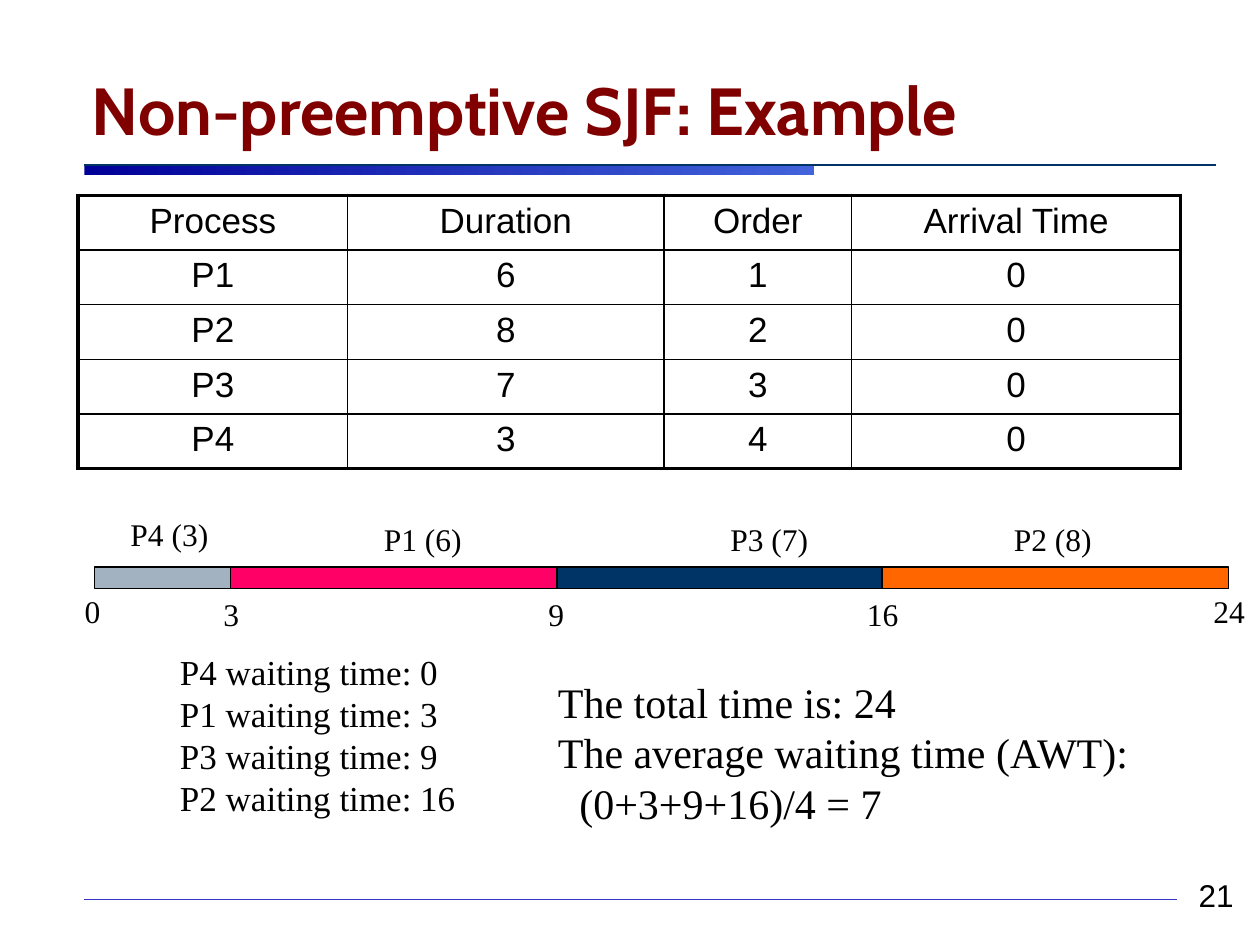
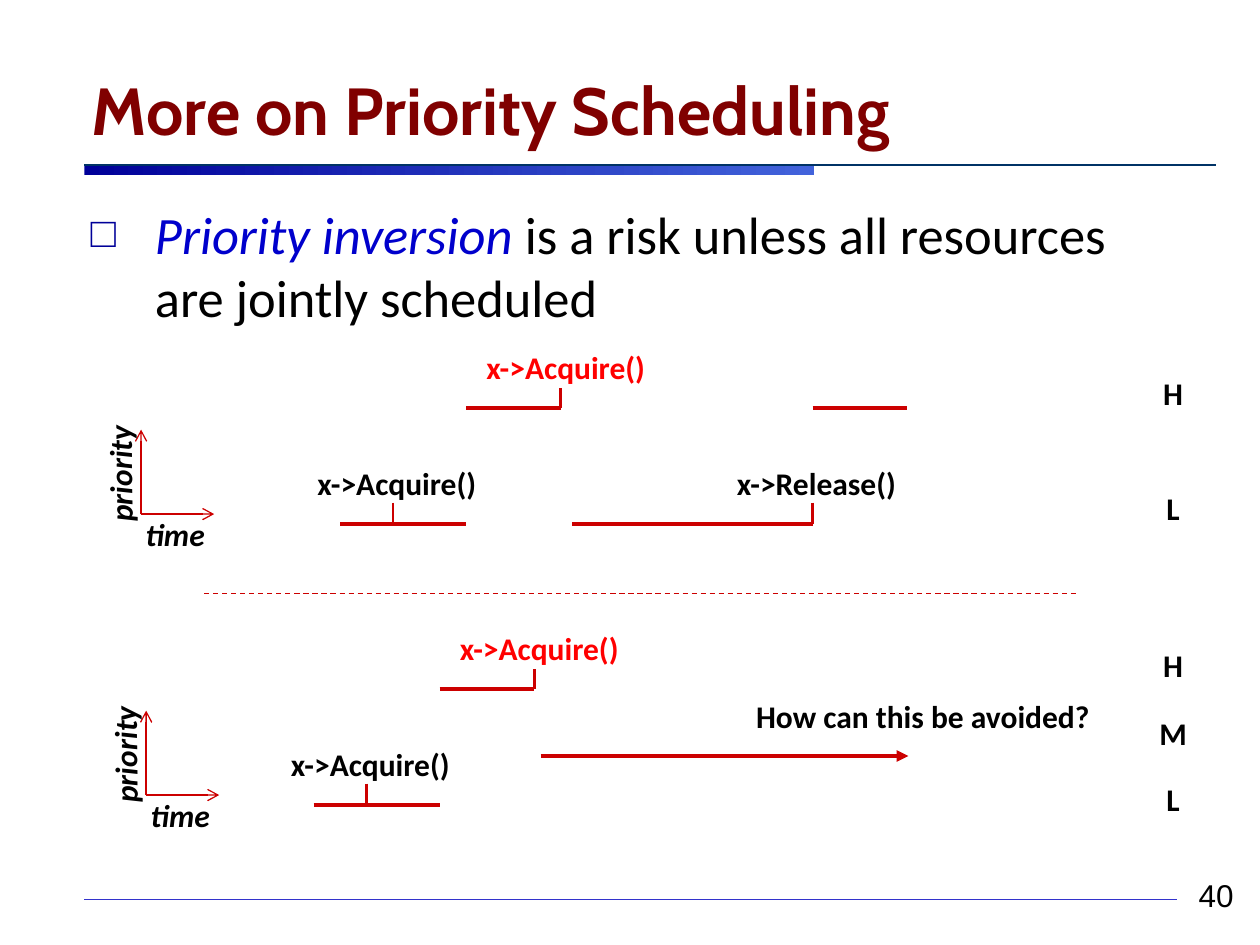
"""Build two lecture slides on non-preemptive SJF and priority inversion."""
from lxml.etree import SubElement
from pptx import Presentation
from pptx.dml.color import RGBColor
from pptx.enum.dml import MSO_LINE
from pptx.enum.shapes import MSO_CONNECTOR, MSO_SHAPE
from pptx.enum.text import MSO_ANCHOR, MSO_AUTO_SIZE, PP_ALIGN
from pptx.oxml.ns import qn
from pptx.util import Pt

PX = 9144
COLORS = {
    "black": "000000", "title": "800000", "rule": "003366", "footer": "3333CC",
    "band_start": "000099", "band_end": "4263DB", "term": "0000CC",
    "timeline": "CC0000", "blocked": "FF0000",
    "P4": "A3B2C1", "P1": "FF0066", "P3": "003366", "P2": "FF6600",
}
RGB = {name: RGBColor.from_string(value) for name, value in COLORS.items()}
SERIF = "Times New Roman"


def add_text(slide, lines, left, top, width, height=40, size=18, font="Calibri",
             color="black", bold=False, italic=False, align=PP_ALIGN.CENTER,
             anchor=MSO_ANCHOR.MIDDLE):
    box = slide.shapes.add_textbox(left * PX, top * PX, width * PX, height * PX)
    frame = box.text_frame
    frame.text = lines
    frame.word_wrap = False
    frame.vertical_anchor = anchor
    for paragraph in frame.paragraphs:
        paragraph.alignment = align
        paragraph.font.size = Pt(size)
        for run in paragraph.runs:
            run.font.name = font
            run.font.size = Pt(size)
            run.font.bold = bold
            run.font.italic = italic
            run.font.color.rgb = RGB[color]
    return box


def add_line(slide, start_x, start_y, end_x, end_y, width=2.25, color="timeline",
             arrow=None, dashed=False):
    connector = slide.shapes.add_connector(
        MSO_CONNECTOR.STRAIGHT, start_x * PX, start_y * PX, end_x * PX, end_y * PX)
    connector.line.width = Pt(width)
    connector.line.color.rgb = RGB[color]
    if dashed:
        connector.line.dash_style = MSO_LINE.DASH
    properties = connector._element.spPr
    if arrow:
        SubElement(properties.find(qn("a:ln")), qn("a:tailEnd"), type=arrow)
    SubElement(properties, qn("a:effectLst"))


presentation = Presentation()
presentation.slide_width = 1000 * PX
presentation.slide_height = 750 * PX

slides = []
for title_text, number, layout_index in (
        ("Non-preemptive SJF: Example", "21", 5),
        ("More on Priority Scheduling", "40", 1)):
    slide = presentation.slides.add_slide(presentation.slide_layouts[layout_index])
    slides.append(slide)
    band = slide.shapes.add_shape(MSO_SHAPE.RECTANGLE, 67 * PX, 131 * PX, 579 * PX, 8 * PX)
    band.shadow.inherit = False
    band.line.fill.background()
    band.fill.gradient()
    band.fill.gradient_angle = 0
    for stop, color in zip(band.fill.gradient_stops, ("band_start", "band_end")):
        stop.color.rgb = RGB[color]
    add_line(slide, 67, 131, 965, 131, 0.75, "rule")
    add_line(slide, 67, 714, 934, 714, 0.25, "footer")
    add_text(slide, number, 839, 690, 150, font="Arial",
             align=PP_ALIGN.RIGHT, anchor=MSO_ANCHOR.BOTTOM)

    title = slide.shapes.title
    title.left, title.top, title.width, title.height = 63 * PX, 33 * PX, 823 * PX, 90 * PX
    title.text_frame.text = title_text
    title.text_frame.auto_size = MSO_AUTO_SIZE.NONE
    title.text_frame.vertical_anchor = MSO_ANCHOR.BOTTOM
    paragraph = title.text_frame.paragraphs[0]
    paragraph.alignment = PP_ALIGN.LEFT
    font = paragraph.runs[0].font
    font.name, font.size, font.bold = "Cabin", Pt(38), True
    font.color.rgb = RGB["title"]

sjf_slide, priority_slide = slides

process_rows = (
    ("Process", "Duration", "Order", "Arrival Time"),
    ("P1", "6", "1", "0"),
    ("P2", "8", "2", "0"),
    ("P3", "7", "3", "0"),
    ("P4", "3", "4", "0"),
)
column_widths = (214, 251, 149, 261)
last_row, last_column = len(process_rows) - 1, len(column_widths) - 1
table = sjf_slide.shapes.add_table(
    len(process_rows), len(column_widths), 62 * PX, 155 * PX, 875 * PX, 210 * PX).table
table.first_row = False
table.horz_banding = False
for column, width in zip(table.columns, column_widths):
    column.width = width * PX
for row_index, values in enumerate(process_rows):
    table.rows[row_index].height = 42 * PX
    for column_index, value in enumerate(values):
        cell = table.cell(row_index, column_index)
        cell.text = value
        paragraph = cell.text_frame.paragraphs[0]
        paragraph.alignment = PP_ALIGN.CENTER
        font = paragraph.runs[0].font
        font.name, font.size = "Arial", Pt(20)
        font.color.rgb = RGB["black"]
        cell_properties = cell._tc.get_or_add_tcPr()
        for edge, is_outer in (
                ("lnL", column_index == 0), ("lnR", column_index == last_column),
                ("lnT", row_index == 0), ("lnB", row_index == last_row)):
            border = SubElement(cell_properties, qn(f"a:{edge}"),
                                w=str(Pt(2.25 if is_outer else 1)))
            fill = SubElement(border, qn("a:solidFill"))
            SubElement(fill, qn("a:srgbClr"), val=COLORS["black"])
        cell.fill.background()

for process, duration, start, end, label_center, label_top in (
        ("P4", 3, 75, 183, 134, 404),
        ("P1", 6, 183, 442, 335, 408),
        ("P3", 7, 442, 700, 610, 408),
        ("P2", 8, 700, 975, 835, 408)):
    bar = sjf_slide.shapes.add_shape(
        MSO_SHAPE.RECTANGLE, start * PX, 450 * PX, (end - start) * PX, 17 * PX)
    bar.shadow.inherit = False
    bar.fill.solid()
    bar.fill.fore_color.rgb = RGB[process]
    bar.line.color.rgb = RGB["black"]
    bar.line.width = Pt(0.75)
    add_text(sjf_slide, f"{process} ({duration})", label_center - 41, label_top, 83, font=SERIF)

for time, center, top in (("0", 73, 465), ("3", 183, 467), ("9", 441, 467),
                          ("16", 700, 467), ("24", 975, 465)):
    add_text(sjf_slide, time, center - 22, top, 45, font=SERIF)

waiting_times = (("P4", 0), ("P1", 3), ("P3", 9), ("P2", 16))
add_text(sjf_slide, "\n".join(f"{process} waiting time: {wait}" for process, wait in waiting_times),
         133, 511, 241, 195, size=20, font=SERIF, align=PP_ALIGN.LEFT, anchor=MSO_ANCHOR.TOP)
summary = add_text(
    sjf_slide,
    "The total time is: 24\nThe average waiting time (AWT):\n(0+3+9+16)/4 = 7",
    433, 532, 517, 130, size=24, font=SERIF, align=PP_ALIGN.LEFT, anchor=MSO_ANCHOR.TOP)
summary.text_frame.paragraphs[-1]._p.get_or_add_pPr().set("marL", str(17 * PX))

body = priority_slide.placeholders[1]
body.left, body.top, body.width, body.height = 62 * PX, 155 * PX, 875 * PX, 551 * PX
body.text_frame.auto_size = MSO_AUTO_SIZE.NONE
paragraph = body.text_frame.paragraphs[0]
for text, color, italic in (
        ("Priority inversion ", "term", True),
        ("is a risk unless all resources are jointly scheduled", "black", False)):
    run = paragraph.add_run()
    run.text = text
    run.font.name, run.font.size, run.font.italic = "Calibri", Pt(30), italic
    run.font.color.rgb = RGB[color]
bullet = paragraph._p.get_or_add_pPr()
bullet.set("marL", str(51 * PX))
bullet.set("indent", str(-51 * PX))
SubElement(SubElement(bullet, qn("a:buClr")), qn("a:srgbClr"), val=COLORS["band_start"])
SubElement(bullet, qn("a:buSzPct"), val="80000")
SubElement(bullet, qn("a:buChar"), char="□")

add_line(priority_slide, 162, 471, 854, 471, 0.75, dashed=True)

for shift, axis_shift, drop in ((0, 0, 0), (-21, 4, 223)):
    add_text(priority_slide, "x->Acquire()", 241 + shift, 363 + drop, 148, bold=True)
    add_line(priority_slide, 270 + shift, 416 + drop, 370 + shift, 416 + drop)
    add_line(priority_slide, 312 + shift, 399 + drop, 312 + shift, 416 + drop, 1.5)
    add_text(priority_slide, "x->Acquire()", 375 + shift, 271 + drop, 148,
             color="blocked", bold=True)
    add_line(priority_slide, 370 + shift, 324 + drop, 445 + shift, 324 + drop)
    add_line(priority_slide, 445 + shift, 308 + drop, 445 + shift, 324 + drop, 1.5)

    axis_x, axis_y = 112 + axis_shift, 408 + drop
    add_line(priority_slide, axis_x, axis_y, axis_x, axis_y - 67, 0.75, arrow="arrow")
    add_line(priority_slide, axis_x, axis_y, axis_x + 58, axis_y, 0.75, arrow="arrow")
    priority_label = add_text(priority_slide, "priority", axis_x - 66, axis_y - 52, 98,
                              bold=True, italic=True)
    priority_label.rotation = 269.3
    add_text(priority_slide, "time", axis_x - 7, axis_y - 4, 68, bold=True, italic=True)

add_line(priority_slide, 454, 416, 645, 416)
add_line(priority_slide, 645, 399, 645, 416, 1.5)
add_line(priority_slide, 645, 324, 720, 324)
add_text(priority_slide, "x->Release()", 574, 363, 148, bold=True)

add_line(priority_slide, 429, 600, 721, 600, arrow="triangle")
add_text(priority_slide, "How can this be avoided?", 589, 548, 287, bold=True)

for level, top in (("H", 292), ("L", 383), ("H", 508), ("M", 562), ("L", 614)):
    add_text(priority_slide, level, 910, top, 42, bold=True)

presentation.save("out.pptx")
